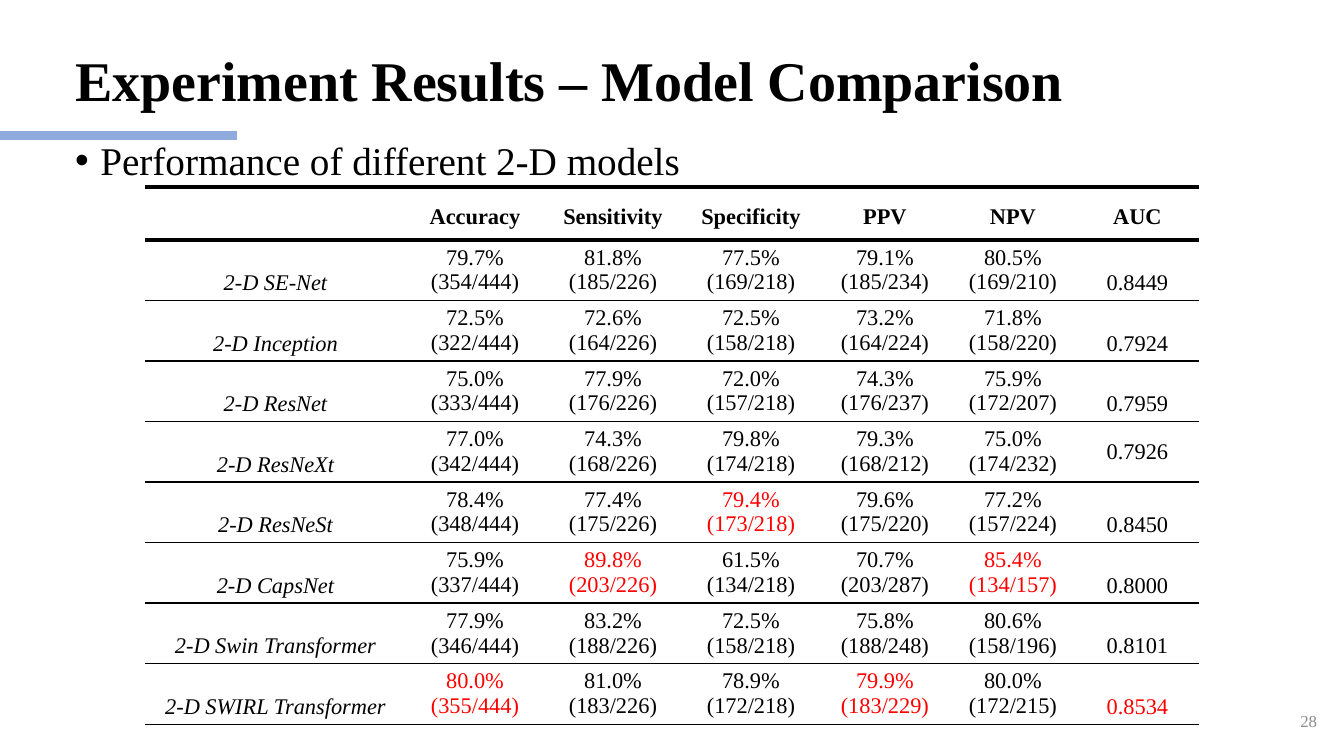
from lxml import etree
from pptx import Presentation
from pptx import util as u
from pptx.dml.color import RGBColor
from pptx.enum import shapes, text
from pptx.oxml import ns

EMU_PER_PX = 914400 / 100.8
BLACK = RGBColor(0x00, 0x00, 0x00)
RED = RGBColor(0xFF, 0x00, 0x00)
BLUE = RGBColor(0x8F, 0xAA, 0xDC)
GRAY = RGBColor(0x8C, 0x8C, 0x8C)
CENTER = text.PP_ALIGN.CENTER
MIDDLE = text.MSO_ANCHOR.MIDDLE
NO_GRID_STYLE = "{2D5ABB26-0587-4C30-8999-92F81FD0307C}"

HEADERS = ["", "Accuracy", "Sensitivity", "Specificity", "PPV", "NPV", "AUC"]
RESULTS = [
    ("2-D SE-Net", "79.7% (354/444)", "81.8% (185/226)", "77.5% (169/218)",
     "79.1% (185/234)", "80.5% (169/210)", "0.8449"),
    ("2-D Inception", "72.5% (322/444)", "72.6% (164/226)", "72.5% (158/218)",
     "73.2% (164/224)", "71.8% (158/220)", "0.7924"),
    ("2-D ResNet", "75.0% (333/444)", "77.9% (176/226)", "72.0% (157/218)",
     "74.3% (176/237)", "75.9% (172/207)", "0.7959"),
    ("2-D ResNeXt", "77.0% (342/444)", "74.3% (168/226)", "79.8% (174/218)",
     "79.3% (168/212)", "75.0% (174/232)", "0.7926"),
    ("2-D ResNeSt", "78.4% (348/444)", "77.4% (175/226)", "79.4% (173/218)",
     "79.6% (175/220)", "77.2% (157/224)", "0.8450"),
    ("2-D CapsNet", "75.9% (337/444)", "89.8% (203/226)", "61.5% (134/218)",
     "70.7% (203/287)", "85.4% (134/157)", "0.8000"),
    ("2-D Swin Transformer", "77.9% (346/444)", "83.2% (188/226)", "72.5% (158/218)",
     "75.8% (188/248)", "80.6% (158/196)", "0.8101"),
    ("2-D SWIRL Transformer", "80.0% (355/444)", "81.0% (183/226)", "78.9% (172/218)",
     "79.9% (183/229)", "80.0% (172/215)", "0.8534"),
]
HIGHLIGHTS = {(5, 3), (6, 2), (6, 5), (8, 1), (8, 4), (8, 6)}
CENTERED_ROW = 4
COLUMN_WIDTHS = [261, 138, 138, 138, 130, 126, 123]
HEADER_HEIGHT, ROW_HEIGHT = 53, 60


def px(length):
    return u.Emu(round(length * EMU_PER_PX))


def apply(target, values):
    for name, value in values.items():
        setattr(target, name, value)


class ResultSlide:
    """Holds the text style and the current slide, and adds its elements."""

    def __init__(self, presentation, font_name):
        self.font_name = font_name
        self.slide = presentation.slides.add_slide(presentation.slide_layouts[1])

    def fill_text(self, frame, lines, size, color=BLACK, bold=False, italic=False, **layout):
        frame.text = "\n".join(lines)
        font = {"name": self.font_name, "size": u.Pt(size), "bold": bold, "italic": italic}
        for paragraph in frame.paragraphs:
            apply(paragraph, {"space_before": u.Pt(0), **layout})
            for run in paragraph.runs:
                apply(run.font, font)
                run.font.color.rgb = color

    def place(self, shape, left, top, width, height, anchor):
        box = {"left": left, "top": top, "width": width, "height": height}
        apply(shape, {name: px(value) for name, value in box.items()})
        apply(shape.text_frame, {"word_wrap": True, "vertical_anchor": anchor,
                                 "auto_size": text.MSO_AUTO_SIZE.NONE})

    def bar(self, left, top, width, height, color):
        bar = self.slide.shapes.add_shape(
            shapes.MSO_SHAPE.RECTANGLE, px(left), px(top), px(width), px(height))
        bar.shadow.inherit = False
        bar.fill.solid()
        bar.fill.fore_color.rgb = color
        bar.line.fill.background()

    def title(self, words, *box):
        title = self.slide.shapes.title
        self.place(title, *box, MIDDLE)
        self.fill_text(title.text_frame, [words], 40, bold=True,
                       alignment=text.PP_ALIGN.LEFT, line_spacing=0.9)

    def bullets(self, lines, *box):
        body = self.slide.placeholders[1]
        self.place(body, *box, text.MSO_ANCHOR.TOP)
        self.fill_text(body.text_frame, lines, 28, alignment=text.PP_ALIGN.JUSTIFY)
        for paragraph in body.text_frame.paragraphs:
            properties = paragraph._p.get_or_add_pPr()
            properties.set("marL", str(u.Inches(0.25)))
            properties.set("indent", str(-u.Inches(0.25)))
            etree.SubElement(properties, ns.qn("a:buChar"), char="•")

    def page_number(self, number, *box):
        label = self.slide.shapes.add_textbox(0, 0, 0, 0)
        self.place(label, *box, MIDDLE)
        self.fill_text(label.text_frame, [number], 12, GRAY, alignment=text.PP_ALIGN.RIGHT)

    def rule(self, cell, position, tag, points):
        line = etree.Element(ns.qn(tag), w=str(u.Pt(points)))
        fill = etree.SubElement(line, ns.qn("a:solidFill"))
        etree.SubElement(fill, ns.qn("a:srgbClr"), val=str(BLACK))
        cell._tc.get_or_add_tcPr().insert(position, line)

    def cell(self, cell, row, column, words):
        cell.fill.background()
        self.rule(cell, 0, "a:lnT", 3 if row <= 1 else 1)
        self.rule(cell, 1, "a:lnB", 3 if row == 0 else 1)
        lines = words.split(" ") if column > 0 else [words]
        layout = {"alignment": CENTER}
        if row == 0:
            layout["line_spacing"] = 1.5
        elif row == CENTERED_ROW and column > 0:
            apply(cell, {"vertical_anchor": MIDDLE, "margin_top": 0, "margin_bottom": 0})
        elif len(lines) == 1:
            layout["line_spacing"] = u.Pt(36)
        self.fill_text(cell.text_frame, lines, 16, RED if (row, column) in HIGHLIGHTS else BLACK,
                       bold=row == 0, italic=row > 0 and column == 0, **layout)

    def table(self, rows, left, top):
        heights = [HEADER_HEIGHT] + [ROW_HEIGHT] * (len(rows) - 1)
        frame = self.slide.shapes.add_table(
            len(rows), len(COLUMN_WIDTHS), px(left), px(top),
            px(sum(COLUMN_WIDTHS)), px(sum(heights)))
        table = frame.table
        apply(table, {"first_row": False, "horz_banding": False})
        table._tbl.tblPr.find(ns.qn("a:tableStyleId")).text = NO_GRID_STYLE
        for column, width in zip(table.columns, COLUMN_WIDTHS):
            column.width = px(width)
        for row, height in zip(table.rows, heights):
            row.height = px(height)
        for row, values in enumerate(rows):
            for column, words in enumerate(values):
                self.cell(table.cell(row, column), row, column, words)


def main():
    presentation = Presentation()
    apply(presentation, {"slide_width": px(1344), "slide_height": px(756)})
    slide = ResultSlide(presentation, "Times New Roman")
    slide.bar(-1, 131, 238, 9, BLUE)
    slide.title("Experiment Results – Model Comparison", 65, 25, 1084, 116)
    slide.bullets(["Performance of different 2-D models"], 65, 131, 1215, 540)
    slide.page_number("28", 1271, 701, 56, 40)
    slide.table([HEADERS, *RESULTS], 145, 187)
    presentation.save("out.pptx")


if __name__ == "__main__":
    main()
